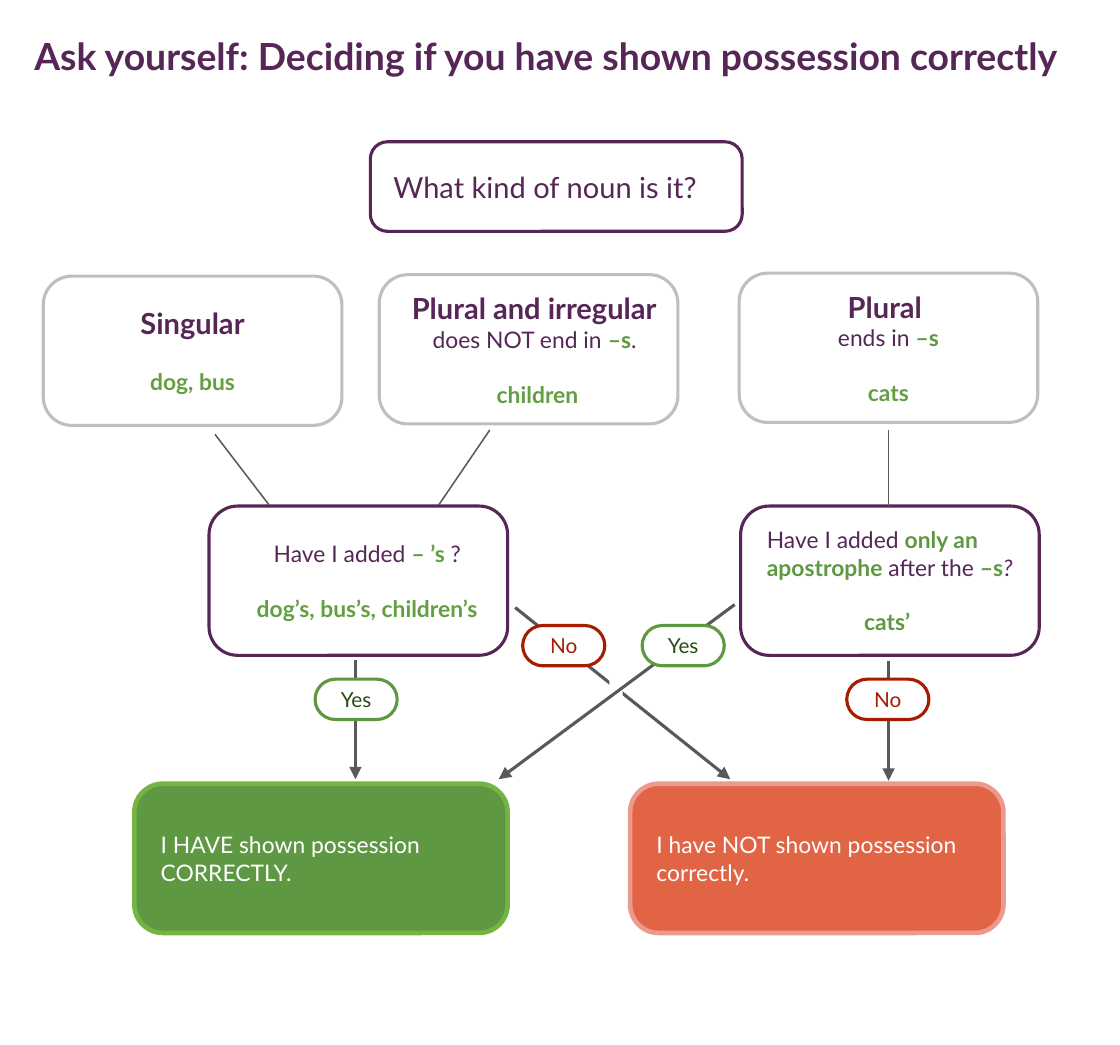
import pptx
import pptx.util
import pptx.dml.color
import pptx.enum.shapes
import pptx.enum.text
import pptx.oxml
import pptx.oxml.ns
from dataclasses import dataclass

Inches = pptx.util.Inches
Pt = pptx.util.Pt
RGB = pptx.dml.color.RGBColor.from_string
ALIGN = pptx.enum.text.PP_ALIGN
ANCHOR = pptx.enum.text.MSO_ANCHOR
SHAPE = pptx.enum.shapes.MSO_SHAPE


@dataclass
class Theme:
    font: str = "Lato"
    purple: str = "552656"
    green: str = "5F9842"
    example: str = "639F42"
    dark_green: str = "264F13"
    light_green: str = "75B443"
    red: str = "A61C00"
    orange: str = "E16445"
    pink: str = "EC998E"
    grey: str = "BFBFBF"
    arrow: str = "595959"
    white: str = "FFFFFF"
    title: int = 18
    heading: int = 14
    body: int = 11
    label: int = 10
    blank_line: float = 13.2


theme = Theme()


def write(shape, text, size=theme.body, color=theme.purple, bold=False, italic=False,
          align=ALIGN.CENTER, before=0, same_line=False):
    paragraphs = shape.text_frame.paragraphs
    paragraph = paragraphs[-1]
    if paragraph.runs and not same_line:
        paragraph = shape.text_frame.add_paragraph()
    if not same_line:
        paragraph.alignment = align
        paragraph.space_before = Pt(before)
    run = paragraph.add_run()
    run.text = text
    run.font.name = theme.font
    run.font.size = Pt(size)
    run.font.color.rgb = RGB(color)
    run.font.bold = bold
    run.font.italic = italic


def add_box(left, top, width, height, outline, fill=theme.white, weight=1.5,
            corner=0.191, left_inset=0.12, right_inset=0.12):
    box = slide.shapes.add_shape(SHAPE.ROUNDED_RECTANGLE, Inches(left), Inches(top),
                                 Inches(width), Inches(height))
    box.shadow.inherit = False
    box.adjustments[0] = corner
    box.fill.solid()
    box.fill.fore_color.rgb = RGB(fill)
    box.line.color.rgb = RGB(outline)
    box.line.width = Pt(weight)
    frame = box.text_frame
    frame.word_wrap = True
    frame.vertical_anchor = ANCHOR.MIDDLE
    frame.margin_left, frame.margin_right = Inches(left_inset), Inches(right_inset)
    frame.margin_top = frame.margin_bottom = Inches(0.12)
    return box


deck = pptx.Presentation()
deck.slide_width, deck.slide_height = Inches(7.5), Inches(7)
slide = deck.slides.add_slide(deck.slide_layouts[5])

heading = slide.shapes.title
heading.left, heading.top = Inches(0.23), Inches(0.1)
heading.width, heading.height = Inches(7.52), Inches(0.59)
heading.text_frame.word_wrap = True
heading.text_frame.auto_size = pptx.enum.text.MSO_AUTO_SIZE.NONE
heading.text_frame.vertical_anchor = ANCHOR.TOP
heading.text_frame.margin_left = heading.text_frame.margin_right = 0
heading.text_frame.margin_top = heading.text_frame.margin_bottom = Inches(0.12)
write(heading, "Ask yourself: Deciding if you have shown possession correctly",
      size=theme.title, bold=True, align=ALIGN.LEFT)

noun_kind = add_box(2.48, 0.95, 2.49, 0.6, theme.purple)
write(noun_kind, "What kind of noun is it?", size=theme.heading, align=ALIGN.LEFT)

singular = add_box(0.29, 1.85, 2, 1, theme.grey)
write(singular, "Singular", size=theme.heading, bold=True)
write(singular, "dog, bus", color=theme.example, bold=True, before=theme.blank_line)

irregular = add_box(2.54, 1.84, 2, 1, theme.grey, right_inset=0)
write(irregular, "Plural and irregular ", size=theme.heading, bold=True)
write(irregular, "does NOT end in ")
write(irregular, "–s", color=theme.green, bold=True, same_line=True)
write(irregular, ". ", same_line=True)
write(irregular, "children", color=theme.example, bold=True, before=theme.blank_line)

plural = add_box(4.95, 1.83, 2, 1, theme.grey)
write(plural, "Plural ", size=theme.heading, bold=True)
write(plural, "ends in ")
write(plural, "–s", color=theme.green, bold=True, same_line=True)
write(plural, "cats", color=theme.example, bold=True, before=theme.blank_line)

added_s = add_box(1.4, 3.39, 2, 1, theme.purple, right_inset=0)
write(added_s, "Have I added ")
write(added_s, "– ", color=theme.green, bold=True, same_line=True)
write(added_s, "’s ", color=theme.example, bold=True, same_line=True)
write(added_s, "?", same_line=True)
write(added_s, "dog’s, bus’s, children’s", color=theme.example, bold=True,
      before=theme.blank_line)

added_apostrophe = add_box(4.96, 3.39, 2, 1, theme.purple)
write(added_apostrophe, "Have I added ", align=ALIGN.LEFT)
write(added_apostrophe, "only an apostrophe ", color=theme.green, bold=True, same_line=True)
write(added_apostrophe, "after the ", same_line=True)
write(added_apostrophe, "–s", color=theme.green, bold=True, same_line=True)
write(added_apostrophe, "?", italic=True, same_line=True)
write(added_apostrophe, "cats’ ", color=theme.green, bold=True, before=theme.blank_line)

for left, verdict, fill, outline in [
    (0.9, "I HAVE shown possession CORRECTLY.", theme.green, theme.light_green),
    (4.22, "I have NOT shown possession correctly.", theme.orange, theme.pink),
]:
    outcome = add_box(left, 5.25, 2.5, 1, outline, fill=fill, weight=2.25, right_inset=0)
    write(outcome, verdict, color=theme.white, align=ALIGN.LEFT)

crossing_yes = (4.92, 4.05, 3.34, 5.22, True)
for link in [
    (1.44, 2.91, 1.8, 3.38, False),
    (3.28, 2.88, 2.94, 3.38, False),
    (5.95, 2.88, 5.95, 3.39, False),
    (2.38, 4.42, 2.38, 5.22, True),
    (5.95, 4.43, 5.95, 5.23, True),
    (3.45, 4.07, 4.89, 5.22, True),
    crossing_yes,
]:
    if link == crossing_yes:
        crossing_gap = slide.shapes.add_shape(SHAPE.RECTANGLE, Inches(4.08), Inches(4.46),
                                              Inches(0.09), Inches(0.38))
        crossing_gap.shadow.inherit = False
        crossing_gap.fill.solid()
        crossing_gap.fill.fore_color.rgb = RGB(theme.white)
        crossing_gap.line.fill.background()
    *ends, pointed = link
    path_line = slide.shapes.add_connector(pptx.enum.shapes.MSO_CONNECTOR.STRAIGHT,
                                           *[Inches(end) for end in ends])
    path_line.line.color.rgb = RGB(theme.arrow)
    path_line.line.width = Pt(1.5 if pointed else 0.75)
    if pointed:
        arrowhead = pptx.oxml.parse_xml(
            f'<a:tailEnd {pptx.oxml.ns.nsdecls("a")} type="triangle"/>')
        path_line.line._get_or_add_ln().append(arrowhead)
    path_line._element.spPr.append(
        pptx.oxml.parse_xml(f'<a:effectLst {pptx.oxml.ns.nsdecls("a")}/>'))

answer_colors = {"Yes": (theme.green, theme.dark_green), "No": (theme.red, theme.red)}
for left, top, answer in [(2.11, 4.55, "Yes"), (3.5, 4.19, "No"),
                          (4.3, 4.19, "Yes"), (5.67, 4.55, "No")]:
    outline, ink = answer_colors[answer]
    answer_label = add_box(left, top, 0.55, 0.27, outline, corner=0.5,
                           left_inset=0, right_inset=0)
    write(answer_label, answer, size=theme.label, color=ink)

deck.save("out.pptx")
